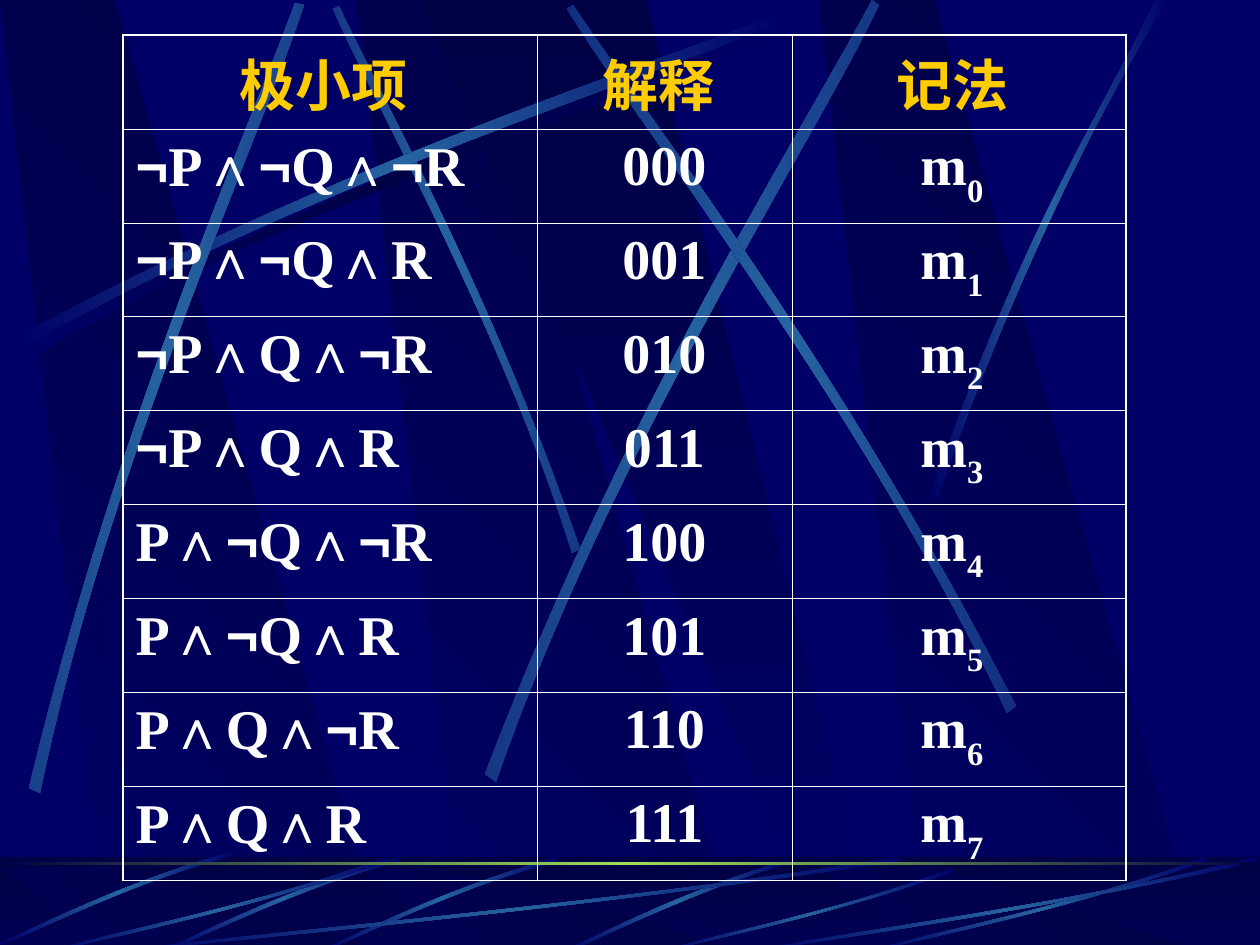
from itertools import groupby, product
from math import cos, radians, sin

from lxml import etree
from pptx import Presentation
from pptx import util as u
from pptx.dml.color import RGBColor
from pptx.enum import shapes, text
from pptx.oxml import ns

PX = 914400 / 126
HEIGHT, FLOOR, BLEED = 945, 857, 951
THEME = {
    "night": "000066", "shade": "000044", "beam": "2663A0", "horizon": "9CE157",
    "heading": "FFCC00", "body": "FFFFFF",
    "size": 32, "outer": 1.08, "inner": 0.45,
    "cjk": "Noto Sans CJK SC", "letters": "Times New Roman", "signs": "Arial",
}
NIGHT, SHADE, BEAM = THEME["night"], THEME["shade"], THEME["beam"]

deck = Presentation()
deck.slide_width, deck.slide_height = u.Inches(10), u.Inches(7.5)
page = deck.slides.add_slide(deck.slide_layouts[6])
page.background.fill.solid()
page.background.fill.fore_color.rgb = RGBColor.from_string(NIGHT)


def paint(shape, colors, angle=0):
    """Fill a borderless shape with evenly spaced gradient colours."""
    shape.shadow.inherit = False
    shape.line.fill.background()
    shape.fill.gradient()
    shape.fill.gradient_angle = angle
    stops = shape.element.spPr.find(".//" + ns.qn("a:gsLst"))
    stops.getparent().set("rotWithShape", "0")
    stops.clear()
    for i, color in enumerate(colors):
        stop = etree.SubElement(stops, ns.qn("a:gs"), pos=str(100000 * i // (len(colors) - 1)))
        etree.SubElement(stop, ns.qn("a:srgbClr"), val=color)


def outline(points, degrees=0):
    """Draw a closed outline through px points, in a frame turned by degrees."""
    c, s = cos(radians(degrees)), sin(radians(degrees))
    emu = [(round((x * c + y * s) * PX), round((y * c - x * s) * PX)) for x, y in points]
    builder = page.shapes.build_freeform(*emu[0], scale=1)
    builder.add_line_segments(emu[1:], close=True)
    shape = builder.convert_to_shape()
    x, y = shape.left + shape.width / 2, shape.top + shape.height / 2
    shape.left = round(x * c - y * s - shape.width / 2)
    shape.top = round(x * s + y * c - shape.height / 2)
    shape.rotation = degrees
    return shape


# Streaks: two cubic edges of four points each, a middle colour, a frame rotation
sky_streaks = [
    ([(25, 346), (358, 169), (660, 74), (789, 23),
      (793, 30), (665, 87), (320, 190), (29, 359)], SHADE, 0),
    ([(580, 549), (493, 295), (381, 97), (339, 6),
      (333, 9), (372, 100), (501, 325), (572, 553)], BEAM, 45),
    ([(18, 336), (350, 158), (653, 64), (781, 13),
      (785, 20), (658, 77), (312, 180), (21, 349)], BEAM, 0),
    ([(29, 788), (117, 421), (248, 132), (295, 3),
      (304, 5), (261, 137), (108, 464), (40, 793)], BEAM, 311.7),
    ([(485, 774), (627, 403), (804, 129), (872, 0),
      (879, 5), (818, 136), (612, 447), (496, 782)], BEAM, 321.6),
    ([(1016, 706), (844, 369), (650, 120), (573, 5),
      (567, 9), (639, 127), (863, 410), (1007, 713)], BEAM, 34.8),
    ([(930, 496), (1026, 218), (1119, 83), (1155, 0),
      (1168, 0), (1053, 183), (969, 406), (937, 500)], BEAM, 0),
]
short = [(557, 857), (447, 888), (362, 932), (323, 949),
         (324, 951), (363, 936), (460, 886), (559, 861)]
sweep = [(1, 0.04), (0.57, 0.57), (0.17, 0.85), (0.01, 1),
         (0, 0.99), (0.16, 0.81), (0.62, 0.51), (0.99, 0)]
floor_streaks = [([(790, 859), (677, 893), (601, 935), (564, 950),
                   (571, 951), (617, 929), (719, 882), (791, 863)], BEAM, 0)]
floor_streaks += [([(x - dx, y - dy) for x, y in short], BEAM, 314.9)
                  for dx, dy in [(0, 0), (158, 0), (323, 6)]]
floor_streaks += [([(left + x * width, top + y * (BLEED - top)) for x, y in sweep], BEAM, 0)
                  for left, width, top in [(126, 777, 857), (53, 336, 857), (664, 291, 868),
                                           (872, 336, 857), (756, 504, 857)]]

# Sky and floor: slanted panels below streaks
for top, bottom, streaks in [(0, 947, sky_streaks), (867, BLEED, floor_streaks)]:
    if top:
        floor = page.shapes.add_shape(shapes.MSO_SHAPE.RECTANGLE, 0, round(FLOOR * PX),
                                      deck.slide_width, round((BLEED - FLOOR) * PX))
        paint(floor, [SHADE, NIGHT], 270)
    for left in (357, 0, 819):
        panel = outline([(left + 108, bottom), (left + 381, bottom), (left + 115, top), (left, top)])
        paint(panel, [NIGHT, SHADE], 45)
    wedge = outline([(420, top), (829, bottom), (874, bottom), (646, top)])
    paint(wedge, [SHADE, NIGHT], 270)
    if top:
        veil = page.shapes.add_shape(shapes.MSO_SHAPE.RECTANGLE, floor.left, floor.top,
                                     floor.width, floor.height)
        veil.shadow.inherit = False
        veil.line.fill.background()
        veil.fill.solid()
        veil.fill.fore_color.rgb = RGBColor.from_string(SHADE)
        color = veil.element.spPr.find(".//" + ns.qn("a:srgbClr"))
        etree.SubElement(color, ns.qn("a:alpha"), val="50000")
    for points, middle, degrees in streaks:
        streak = outline(points, degrees)
        # Turn each edge's three line steps into one cubic curve
        steps = streak.element.spPr.findall(".//" + ns.qn("a:lnTo"))
        for edge in (steps[:3], steps[4:7]):
            curve = etree.Element(ns.qn("a:cubicBezTo"))
            edge[0].addprevious(curve)
            for step in edge:
                curve.append(step[0])
                step.getparent().remove(step)
        paint(streak, [NIGHT, middle, NIGHT])

# Horizon line
horizon = page.shapes.add_shape(shapes.MSO_SHAPE.RECTANGLE, 0, round(862 * PX),
                                deck.slide_width, round(3 * PX))
paint(horizon, [SHADE, THEME["horizon"], SHADE])

# Minterm rows: each cell is a list of (text, font, baseline)
cjk, letters, signs = THEME["cjk"], THEME["letters"], THEME["signs"]
rows = [[[(title, cjk, 0)] for title in ("极小项 ", "解释 ", "记法 ")]]
for index, bits in enumerate(product((0, 1), repeat=3)):
    term = "∧".join(("" if bit else "¬") + name for bit, name in zip(bits, "PQR"))
    runs = [("".join(group), letters if is_letter else signs, 0)
            for is_letter, group in groupby(term, str.isalpha)]
    rows.append([runs, [("".join(map(str, bits)), letters, 0)],
                 [("m", letters, 0), (str(index), letters, -30000), (" ", letters, 0)]])

# Table
col_widths, row_heights = [414, 255, 334], [93] + [94] * 8
frame = page.shapes.add_table(len(rows), len(col_widths), round(123 * PX), round(35 * PX),
                              round(sum(col_widths) * PX), round(sum(row_heights) * PX))
table = frame.table
table.first_row = table.horz_banding = False
for column, width in zip(table.columns, col_widths):
    column.width = round(width * PX)
for row, height in zip(table.rows, row_heights):
    row.height = round(height * PX)

for r, row in enumerate(rows):
    for c, runs in enumerate(row):
        cell = table.cell(r, c)
        outer = {"lnL": c == 0, "lnR": c == len(row) - 1,
                 "lnT": r == 0, "lnB": r == len(rows) - 1}
        for side, is_outer in outer.items():
            weight = THEME["outer" if is_outer else "inner"]
            line = etree.SubElement(cell._tc.get_or_add_tcPr(), ns.qn("a:" + side),
                                    w=str(u.Pt(weight)))
            fill = etree.SubElement(line, ns.qn("a:solidFill"))
            etree.SubElement(fill, ns.qn("a:srgbClr"), val=THEME["body"])
        cell.fill.background()
        para = cell.text_frame.paragraphs[0]
        centered = r == 0 or c > 0
        para.alignment = text.PP_ALIGN.CENTER if centered else text.PP_ALIGN.LEFT
        for words, font, baseline in runs:
            span = para.add_run()
            span.text = words
            for key, value in {"name": font, "size": u.Pt(THEME["size"]), "bold": True}.items():
                setattr(span.font, key, value)
            span.font.color.rgb = RGBColor.from_string(THEME["body" if r else "heading"])
            if font == cjk:
                etree.SubElement(span._r.get_or_add_rPr(), ns.qn("a:ea"), typeface=cjk)
            if baseline:
                span._r.get_or_add_rPr().set("baseline", str(baseline))

deck.save("out.pptx")
